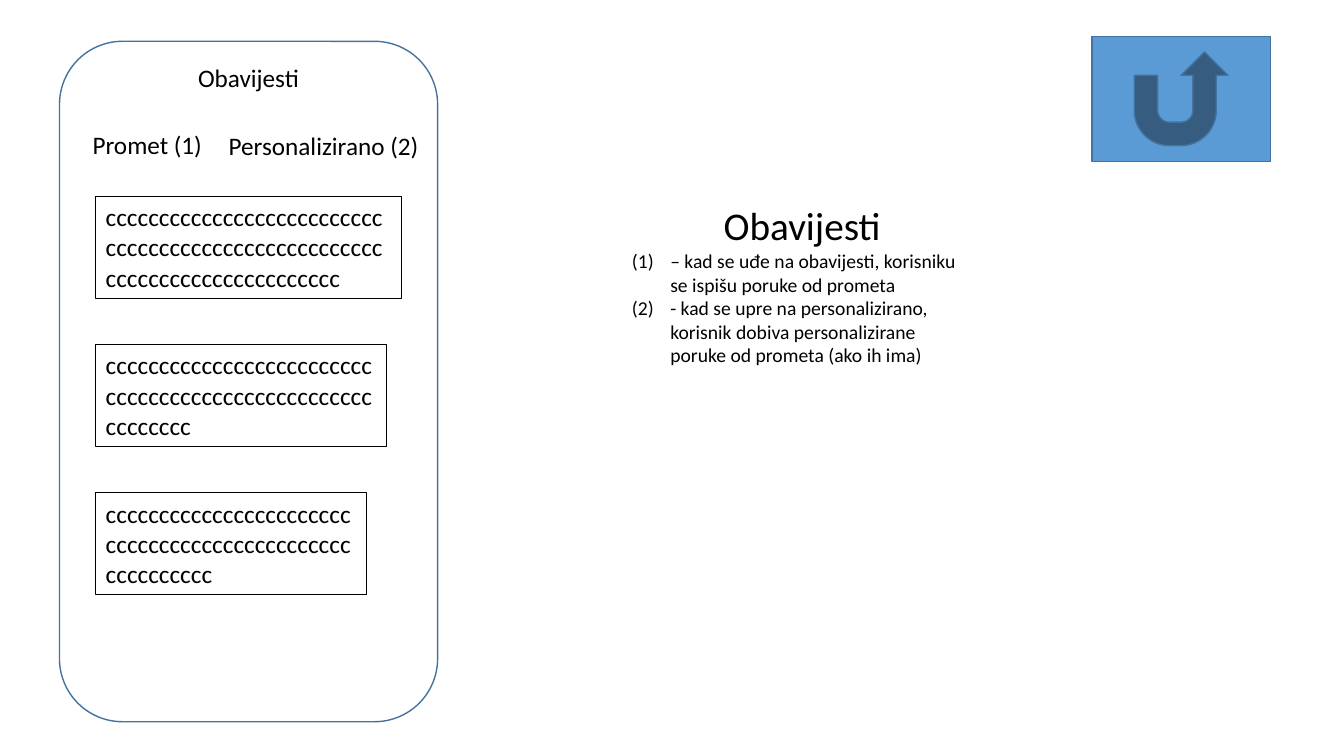
from pptx import Presentation
from pptx.dml.color import RGBColor
from pptx.enum.shapes import MSO_SHAPE
from pptx.enum.text import MSO_ANCHOR, PP_ALIGN
from pptx.oxml.ns import qn
from pptx.util import Inches, Pt

FONT = "Calibri"
BLACK = "000000"
BLUE = "5B9BD5"
DARK_BLUE = "43739E"

TABS = [("Promet (1)", 0.23, 0.82, 1.35), ("Personalizirano (2)", 1.58, 0.83, 2.26)]
MESSAGES = [("c" * 74, 3.03), ("c" * 58, 2.88), ("c" * 56, 2.69)]
MESSAGE_HEIGHT = 1.01
MESSAGE_STEP = 1.47
NOTES = [
    "– kad se uđe na obavijesti, korisniku se ispišu poruke od prometa",
    "- kad se upre na personalizirano, korisnik dobiva personalizirane "
    "poruke od prometa (ako ih ima)",
]


def color(value):
    return RGBColor.from_string(value)


def place(shape, left, top, width, height):
    shape.left, shape.top = Inches(left), Inches(top)
    shape.width, shape.height = Inches(width), Inches(height)


def write(shape, lines, size, align=PP_ALIGN.LEFT):
    frame = shape.text_frame
    frame.word_wrap = True
    frame.vertical_anchor = MSO_ANCHOR.TOP
    frame.text = "\n".join(lines)
    for para in frame.paragraphs:
        para.alignment = align
        para.font.name = FONT
        para.font.size = Pt(size)
        para.font.color.rgb = color(BLACK)


def add_label(page, text, left, top, width, height, align=PP_ALIGN.LEFT):
    label = page.shapes.add_textbox(Inches(left), Inches(top), Inches(width), Inches(height))
    write(label, [text], 18, align)


def add_panel(page, kind, left, top, width, height, line, weight, fill=None):
    panel = page.shapes.add_shape(kind, Inches(left), Inches(top), Inches(width), Inches(height))
    panel.shadow.inherit = False
    if fill:
        panel.fill.solid()
        panel.fill.fore_color.rgb = color(fill)
    else:
        panel.fill.background()
    panel.line.color.rgb = color(line)
    panel.line.width = Pt(weight)
    return panel


def number_paragraphs(frame):
    """Number the paragraphs (1), (2), ... with a hanging indent."""
    for para in frame.paragraphs:
        properties = para._p.get_or_add_pPr()
        properties.set("marL", str(Inches(0.38)))
        properties.set("indent", str(-Inches(0.38)))
        bullet = properties.makeelement(qn("a:buAutoNum"), {"type": "arabicParenBoth"})
        properties.append(bullet)


def add_phone_screen(page, left, top, width, height):
    add_panel(page, MSO_SHAPE.ROUNDED_RECTANGLE, left, top, width, height, DARK_BLUE, 1)
    add_label(page, "Obavijesti", left + 0.79, top + 0.16, 2.17, 0.41, PP_ALIGN.CENTER)
    for text, tab_left, tab_top, tab_width in TABS:
        add_label(page, text, left + tab_left, top + tab_top, tab_width, 0.4)
    for index, (text, message_width) in enumerate(MESSAGES):
        message = add_panel(page, MSO_SHAPE.RECTANGLE, left + 0.36,
                            top + 1.54 + index * MESSAGE_STEP,
                            message_width, MESSAGE_HEIGHT, BLACK, 0.75)
        write(message, [text], 18)


def add_explanation(page, left, top, width, height):
    heading_height = 0.52
    heading = page.shapes.title
    place(heading, left, top, width, heading_height)
    write(heading, ["Obavijesti"], 28, PP_ALIGN.CENTER)
    notes = page.shapes.add_textbox(Inches(left), Inches(top + heading_height),
                                    Inches(width), Inches(height - heading_height))
    write(notes, NOTES, 14)
    notes.text_frame.margin_top = 0
    number_paragraphs(notes.text_frame)


def add_return_button(page, left, top, width, height):
    add_panel(page, MSO_SHAPE.ACTION_BUTTON_RETURN, left, top, width, height,
              DARK_BLUE, 1, BLUE)


def main():
    deck = Presentation()
    deck.slide_width, deck.slide_height = Inches(13.33), Inches(7.5)
    page = deck.slides.add_slide(deck.slide_layouts.get_by_name("Title Only"))
    add_explanation(page, 6.17, 1.95, 3.57, 1.75)
    add_phone_screen(page, 0.59, 0.41, 3.75, 6.75)
    add_return_button(page, 10.83, 0.36, 1.77, 1.24)
    deck.save("out.pptx")


if __name__ == "__main__":
    main()
